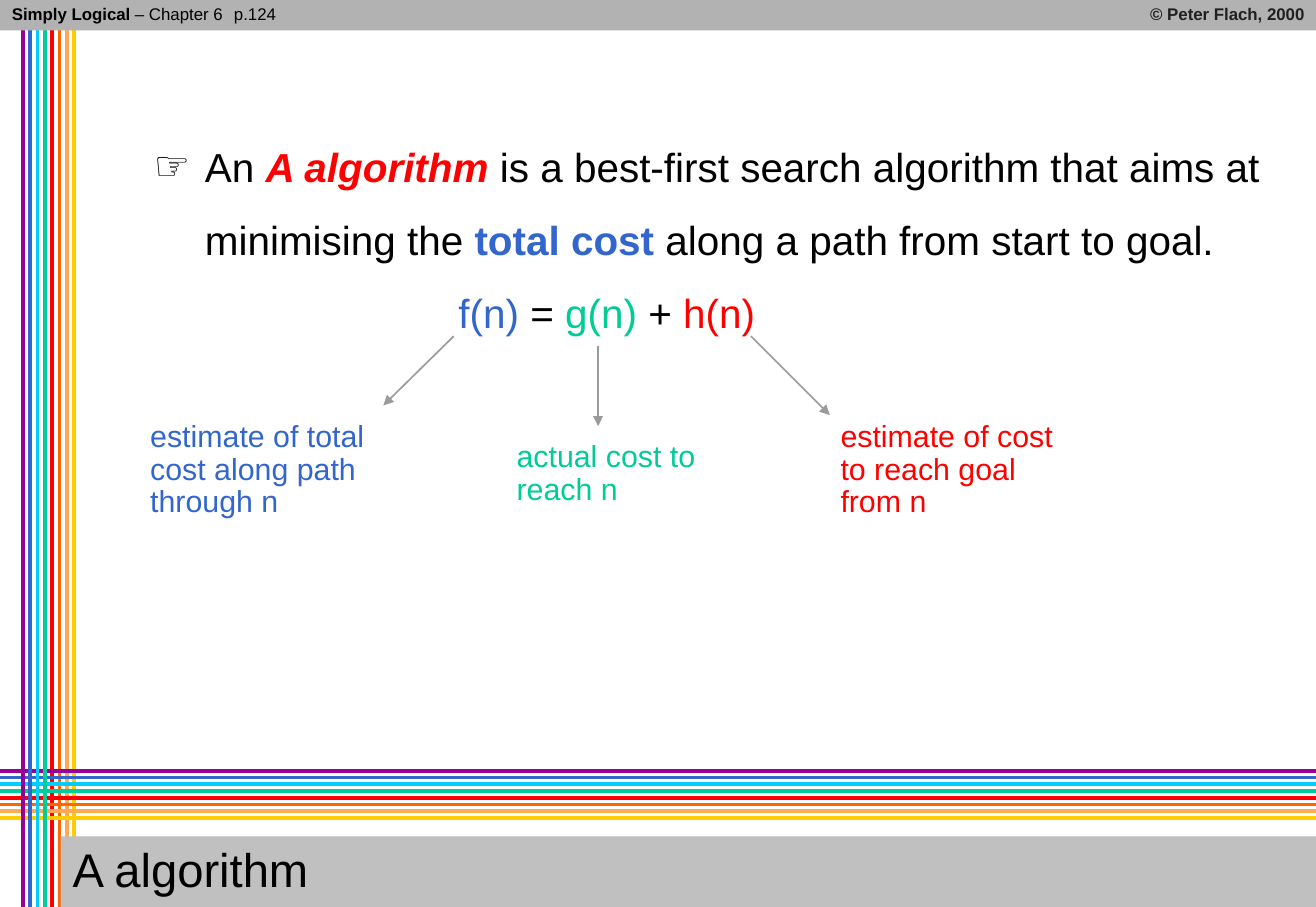
from lxml import etree
from pptx import Presentation
from pptx.dml.color import RGBColor
from pptx.enum.shapes import MSO_CONNECTOR, MSO_SHAPE
from pptx.enum.text import MSO_ANCHOR, PP_ALIGN
from pptx.oxml.ns import qn
from pptx.util import Inches, Pt

LINE = MSO_CONNECTOR.STRAIGHT
RECT = MSO_SHAPE.RECTANGLE
TOP, MIDDLE = MSO_ANCHOR.TOP, MSO_ANCHOR.MIDDLE
LEFT, RIGHT = PP_ALIGN.LEFT, PP_ALIGN.RIGHT

BLACK = RGBColor(0x00, 0x00, 0x00)
INK = RGBColor(0x20, 0x20, 0x20)
ARROW = RGBColor(0x9B, 0x9B, 0x9B)
SILVER = RGBColor(0xB2, 0xB2, 0xB2)
PALE = RGBColor(0xC0, 0xC0, 0xC0)
PURPLE = RGBColor(0x99, 0x00, 0x99)
BLUE = RGBColor(0x33, 0x66, 0xCC)
CYAN = RGBColor(0x00, 0xCC, 0xFF)
GREEN = RGBColor(0x00, 0xCC, 0x99)
RED = RGBColor(0xFF, 0x00, 0x00)
ORANGE = RGBColor(0xFF, 0x66, 0x00)
PEACH = RGBColor(0xFF, 0xA9, 0x53)
YELLOW = RGBColor(0xFF, 0xCC, 0x00)
BANDS = [PURPLE, BLUE, CYAN, GREEN, RED, ORANGE, PEACH, YELLOW]

# The slide measures 781 by 538 points
WIDTH, HEIGHT = 781 / 72, 538 / 72
HEAD = 0.25


class Page:
    font = "Arial"

    def __init__(self, slide):
        self.shapes = slide.shapes

    def line(self, start, end, color, width, arrow=False):
        item = self.shapes.add_connector(LINE, *map(Inches, start + end))
        item.line.color.rgb = color
        item.line.width = Pt(width)
        if arrow:
            ln = item.line._get_or_add_ln()
            etree.SubElement(ln, qn("a:tailEnd"), type="triangle")
        etree.SubElement(item._element.spPr, qn("a:effectLst"))

    def rect(self, box, color):
        item = self.shapes.add_shape(RECT, *map(Inches, box))
        item.shadow.inherit = False
        item.fill.solid()
        item.fill.fore_color.rgb = color
        item.line.fill.background()
        return item.text_frame

    def text(self, box, wrap=True):
        frame = self.shapes.add_textbox(*map(Inches, box)).text_frame
        frame.word_wrap = wrap
        frame.vertical_anchor = TOP
        return frame

    def para(self, para, size, runs, align=LEFT, space=0.9):
        para.alignment = align
        para.line_spacing = space
        for words, color, bold, slant in runs:
            run = para.add_run()
            run.text = words
            font = run.font
            font.name, font.size = self.font, Pt(size)
            font.bold, font.italic = bold, slant
            font.color.rgb = color

    def indent(self, para, margin, hang, mark=None):
        props = para._p.get_or_add_pPr()
        props.set("marL", str(Inches(margin)))
        props.set("indent", str(Inches(-hang)))
        if mark:
            tint = etree.SubElement(props, qn("a:buClr"))
            etree.SubElement(tint, qn("a:srgbClr"), val=str(BLACK))
            etree.SubElement(props, qn("a:buFont"), typeface=self.font)
            etree.SubElement(props, qn("a:buChar"), char=mark)


def plain(words, color=BLACK):
    return words, color, False, False


def bold(words, color=BLACK, slant=False):
    return words, color, True, slant


def main():
    deck = Presentation()
    deck.slide_width, deck.slide_height = Inches(WIDTH), Inches(HEIGHT)
    page = Page(deck.slides.add_slide(deck.slide_layouts[6]))

    # Rainbow bands: the cool columns cross over the rows, the warm ones under
    columns = [(0.19 + 0.06 * i, color) for i, color in enumerate(BANDS)]
    rows = [(6.35 + 0.39 * i / 7, color) for i, color in enumerate(BANDS)]
    for x, color in columns[4:]:
        page.line((x, 0), (x, HEIGHT), color, 2.25)
    for y, color in rows:
        page.line((WIDTH, y), (0, y), color, 2.25)
    for x, color in columns[:4]:
        page.line((x, 0), (x, HEIGHT), color, 2.25)

    # Header
    page.rect((0, 0, WIDTH, HEAD), SILVER)
    book = page.text((0, 0, 2.17, HEAD))
    page.para(book.paragraphs[0], 10,
              [bold("Simply Logical"), plain(" – Chapter 6")])
    owner = page.text((7.92, 0, 2.93, HEAD))
    page.para(owner.paragraphs[0], 10,
              [bold("© Peter Flach, 2000", INK)], RIGHT)
    number = page.text((1.83, 0, 0.75, HEAD), wrap=False)
    page.para(number.paragraphs[0], 10, [plain("p.124")])

    # Title
    title = page.rect((0.5, 6.89, WIDTH - 0.5, 0.59), PALE)
    title.vertical_anchor = MIDDLE
    page.para(title.paragraphs[0], 28, [plain("A algorithm")])

    # Definition and formula
    body = page.text((1.17, 0.92, 9.42, 4.59))
    claim = body.paragraphs[0]
    claim.space_before = Pt(30)
    page.para(claim, 24, [
        plain("An "),
        bold("A algorithm", RED, slant=True),
        plain(" is a best-first search algorithm that aims at minimising the "),
        bold("total cost", BLUE),
        plain(" along a path from start to goal."),
    ], space=1.5)
    page.indent(claim, 0.42, 0.42, "☞")
    total = body.add_paragraph()
    page.para(total, 24, [
        plain("f(n)", BLUE), plain(" = "), plain("g(n)", GREEN),
        plain(" + "), plain("h(n)", RED),
    ], space=1.5)
    page.indent(total, 2.93, 0.42)

    # Notes on the three terms, each with its arrow
    notes = [
        ("estimate of total cost along path through n", BLUE,
         (1.14, 3.42, 2.36, 0.91), (3.74, 2.77), (3.16, 3.34)),
        ("estimate of cost to reach goal from n", RED,
         (6.83, 3.42, 2.03, 0.91), (6.19, 2.77), (6.84, 3.42)),
        ("actual cost to reach n", GREEN,
         (4.16, 3.59, 2.36, 0.64), (4.93, 2.85), (4.93, 3.51)),
    ]
    for words, color, box, start, end in notes:
        note = page.text(box)
        page.para(note.paragraphs[0], 18, [plain(words, color)])
        page.line(start, end, ARROW, 1, arrow=True)

    deck.save("out.pptx")


if __name__ == "__main__":
    main()
